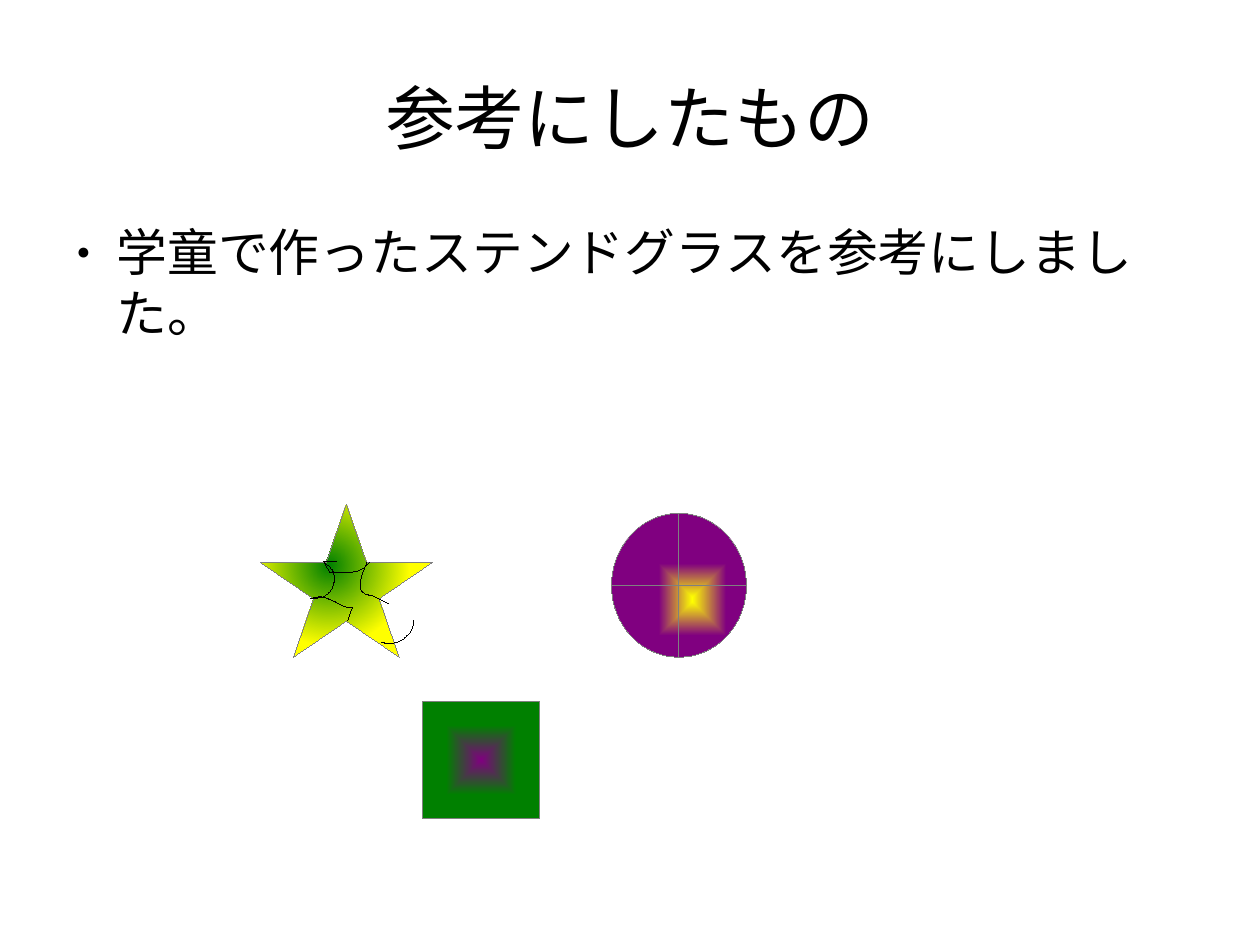
from lxml.etree import SubElement
from pptx import Presentation
from pptx.dml.color import RGBColor
from pptx.enum.shapes import MSO_SHAPE
from pptx.enum.text import MSO_ANCHOR, MSO_AUTO_SIZE, PP_ALIGN
from pptx.oxml.ns import qn
from pptx.util import Pt

THEME = {
    "font": "Arial", "title": 44, "body": 32,
    "text": "000000", "outline": "808080", "stroke": "000000",
    "yellow": "FFFF00", "purple": "800080", "green": "008000",
}

SLIDE_SIZE = (793.7, 595.28)
TITLE = "参考にしたもの"
BODY = "学童で作ったステンドグラスを参考にしました。"
TITLE_BOX = (39.6, 23.8, 714.2, 99.4)
BODY_BOX = (39.6, 139, 714.2, 393.1)

# preset, box, centre colour, edge colour, edge stop, gradient path, focus in percent
GLASS = [
    (MSO_SHAPE.FLOWCHART_OR, (385.2, 323.3, 85, 90.7), "yellow", "purple", 0.5, "rect", 60),
    (MSO_SHAPE.STAR_5_POINT, (164.2, 317.5, 108, 96.5), "green", "yellow", 0.7, "circle", 40),
    (MSO_SHAPE.RECTANGLE, (266.4, 442.1, 73.4, 73.4), "purple", "green", 0.6, "rect", 50),
]

# four Bezier control points, then the straight ends
STROKES = [
    ([(205.2, 355), (214.6, 360), (211, 375.1), (200.9, 376.6)], [(195.8, 377.3)]),
    ([(232.6, 354.2), (226.8, 362.9), (216, 360), (208.1, 360.7)],
     [(203.8, 353.5), (211.7, 353.5), (205.2, 353.5)]),
    ([(231.1, 354.2), (229, 360), (221, 374.4), (234.7, 375.1)],
     [(243.4, 379.4), (244.8, 380.2)]),
    ([(197.3, 376.6), (206.6, 373.7), (213.1, 382.3), (221.8, 383)], [(218.9, 391)]),
    ([(240.5, 404.6), (249.8, 407.5), (259.9, 401), (260.6, 391.7)], [(260.6, 391)]),
]
CURVE_STEPS = 16


def color(name):
    return RGBColor.from_string(THEME[name])


def write(sp, text, box, size, align, anchor):
    sp.left, sp.top, sp.width, sp.height = map(Pt, box)
    tf = sp.text_frame
    tf.word_wrap = True
    tf.auto_size = MSO_AUTO_SIZE.NONE
    tf.vertical_anchor = anchor
    tf.margin_left = tf.margin_top = tf.margin_right = tf.margin_bottom = 0
    p = tf.paragraphs[0]
    p.alignment = align
    p.space_before = Pt(0)
    r = p.add_run()
    r.text = text
    r.font.name, r.font.size = THEME["font"], Pt(THEME[size])
    r.font.color.rgb = color("text")
    return p


def add_bullet(p):
    """Give a hanging bullet and keep punctuation inside the margin."""
    p.space_after = Pt(14.1)
    pPr = p._p.get_or_add_pPr()
    pPr.set("marL", str(Pt(33.8)))
    pPr.set("indent", str(Pt(-25.2)))
    pPr.set("hangingPunct", "0")
    SubElement(SubElement(pPr, qn("a:buClr")), qn("a:srgbClr"), val=THEME["text"])
    SubElement(pPr, qn("a:buSzPct"), val="45000")
    SubElement(pPr, qn("a:buFont"), typeface=THEME["font"])
    SubElement(pPr, qn("a:buChar"), char="●")


def outline(sp, name):
    """Draw a hairline; the zero width has to be written out."""
    sp.shadow.inherit = False
    sp.line.color.rgb = color(name)
    sp._element.spPr.find(qn("a:ln")).set("w", "0")


def glow(sp, inner, outer, edge, kind, focus):
    """Fill with a gradient that spreads from a focus point."""
    sp.fill.gradient()
    for stop, name, position in zip(sp.fill.gradient_stops, (inner, outer), (0, edge)):
        stop.color.rgb = color(name)
        stop.position = position
    grad = sp._element.spPr.find(qn("a:gradFill"))
    grad.remove(grad.find(qn("a:lin")))
    near, far = str(focus * 1000), str((100 - focus) * 1000)
    SubElement(SubElement(grad, qn("a:path"), path=kind), qn("a:fillToRect"),
               l=near, t=near, r=far, b=far)


def bezier(points, t):
    """Point at t on a cubic Bezier curve."""
    weights = ((1 - t) ** 3, 3 * t * (1 - t) ** 2, 3 * t ** 2 * (1 - t), t ** 3)
    return tuple(sum(w * v for w, v in zip(weights, axis)) for axis in zip(*points))


def add_stroke(shapes, curve, ends):
    dots = [bezier(curve, i / CURVE_STEPS) for i in range(CURVE_STEPS + 1)] + ends
    start, *rest = [(Pt(x), Pt(y)) for x, y in dots]
    builder = shapes.build_freeform(*start)
    builder.add_line_segments(rest, close=False)
    sp = builder.convert_to_shape()
    sp.fill.background()
    outline(sp, "stroke")


def add_glass(shapes, preset, box, *gradient):
    sp = shapes.add_shape(preset, *map(Pt, box))
    glow(sp, *gradient)
    outline(sp, "outline")


def main():
    prs = Presentation()
    prs.slide_width, prs.slide_height = map(Pt, SLIDE_SIZE)
    s = prs.slides.add_slide(prs.slide_layouts[1])
    write(s.shapes.title, TITLE, TITLE_BOX, "title", PP_ALIGN.CENTER, MSO_ANCHOR.MIDDLE)
    p = write(s.placeholders[1], BODY, BODY_BOX, "body", PP_ALIGN.LEFT, MSO_ANCHOR.TOP)
    add_bullet(p)
    circle, star, square = GLASS
    add_glass(s.shapes, *circle)
    add_glass(s.shapes, *star)
    for curve, ends in STROKES:
        add_stroke(s.shapes, curve, ends)
    add_glass(s.shapes, *square)
    prs.save("out.pptx")


if __name__ == "__main__":
    main()
